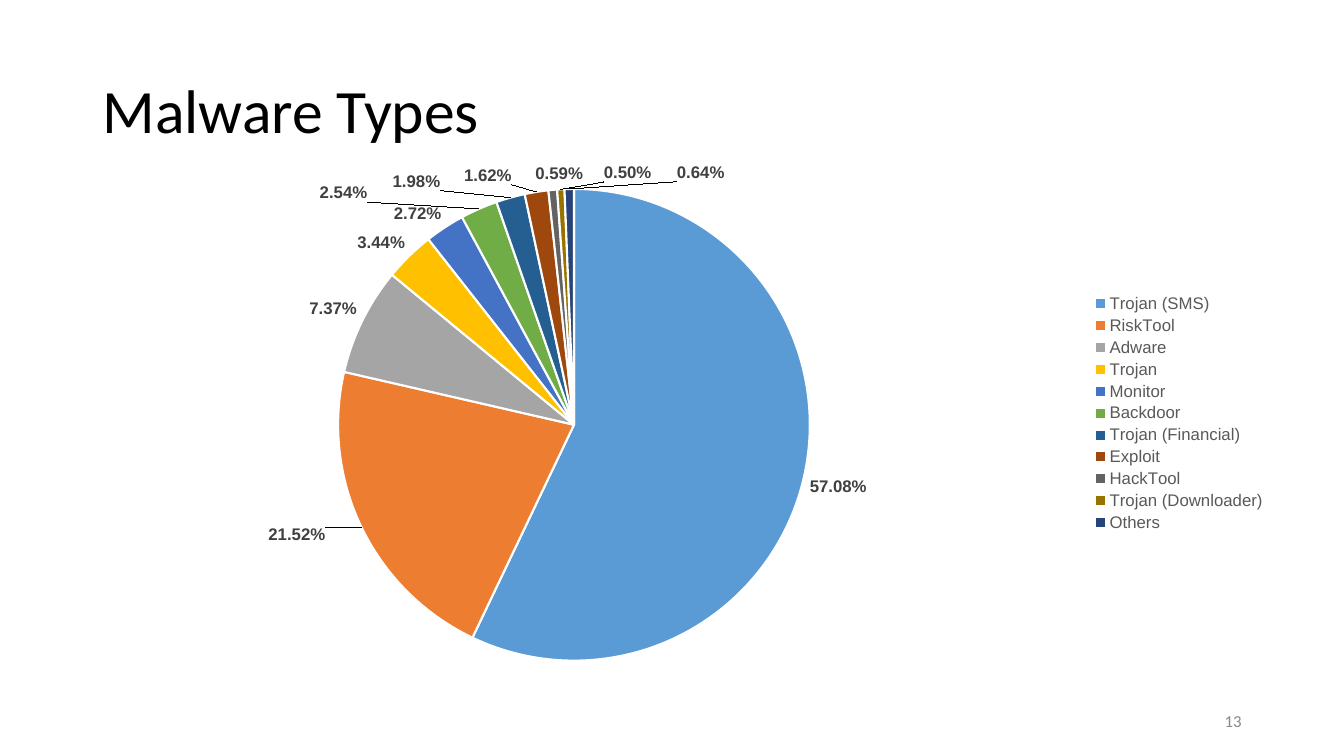
from copy import deepcopy
from dataclasses import dataclass

from lxml.etree import SubElement
from pptx import Presentation
from pptx.chart.data import CategoryChartData
from pptx.dml.color import RGBColor
from pptx.enum.chart import XL_CHART_TYPE as ChartType
from pptx.enum.chart import XL_LABEL_POSITION as LabelPos
from pptx.enum.chart import XL_LEGEND_POSITION as LegendPos
from pptx.enum.text import MSO_ANCHOR as Anchor
from pptx.enum.text import PP_ALIGN as Align
from pptx.oxml.ns import qn
from pptx.util import Pt

# Content: type, share in percent, slice colour, label shift in points
TITLE = "Malware Types"
PAGE = "13"
MALWARE = [
    ("Trojan (SMS)", 57.08, "5B9BD5", None),
    ("RiskTool", 21.52, "ED7D31", (-22, -3)),
    ("Adware", 7.37, "A5A5A5", None),
    ("Trojan", 3.44, "FFC000", None),
    ("Monitor", 2.72, "4472C4", None),
    ("Backdoor", 2.54, "70AD47", (-78, -1)),
    ("Trojan (Financial)", 1.98, "255E91", (-49, -1)),
    ("Exploit", 1.62, "9E480E", (-17, -1)),
    ("HackTool", 0.59, "636363", (22, -1)),
    ("Trojan (Downloader)", 0.50, "997300", (48, -1)),
    ("Others", 0.64, "264478", (94, -1)),
]


@dataclass(frozen=True)
class Theme:
    heading_font: str = "Calibri"
    chart_font: str = "Arial"
    ink: str = "000000"
    label: str = "404040"
    legend: str = "595959"
    page: str = "888888"
    edge: str = "FFFFFF"
    title_size: int = 44
    chart_size: int = 10
    small_size: int = 12


THEME = Theme()

# Layout in points: left, top, width, height
SLIDE_SIZE = (960, 540)
TITLE_BOX = (66, 28.75, 828, 104.4)
PAGE_BOX = (678, 500.5, 216, 28.75)
CHART_BOX = (48, 108, 864, 374.4)
PIE_BOX = (241.5, 135, 337, 337)


def style(font, name, size, color, bold=False):
    font.name, font.size, font.bold = name, Pt(size), bold
    font.color.rgb = RGBColor.from_string(color)


def write(shape, text, *, size, color, align=Align.LEFT, spacing=1.0):
    frame = shape.text_frame
    frame.word_wrap = True
    frame.vertical_anchor = Anchor.MIDDLE
    frame.text = text
    line = frame.paragraphs[0]
    line.alignment, line.line_spacing = align, spacing
    style(line.runs[0].font, THEME.heading_font, size, color)


def add_layout(parent, **settings):
    layout = SubElement(parent, qn("c:layout"))
    manual = SubElement(layout, qn("c:manualLayout"))
    for tag, value in settings.items():
        setting = value if isinstance(value, str) else f"{value:.4f}"
        SubElement(manual, qn(f"c:{tag}")).set("val", setting)
    return layout


def shift_label(labels, index, dx, dy):
    """Give one slice its own label, formatted like the rest but moved."""
    label = labels.makeelement(qn("c:dLbl"))
    SubElement(label, qn("c:idx")).set("val", str(index))
    add_layout(label, x=dx / CHART_BOX[2], y=dy / CHART_BOX[3])
    for part in labels:
        if part.tag not in (qn("c:dLbl"), qn("c:showLeaderLines")):
            label.append(deepcopy(part))
    return label


deck = Presentation()
deck.slide_width, deck.slide_height = map(Pt, SLIDE_SIZE)
slide = deck.slides.add_slide(deck.slide_layouts[5])

# Title and page number
title = slide.shapes.title
title.left, title.top, title.width, title.height = map(Pt, TITLE_BOX)
write(title, TITLE, size=THEME.title_size, color=THEME.ink, spacing=0.9)
page = slide.shapes.add_textbox(*map(Pt, PAGE_BOX))
write(page, PAGE, size=THEME.small_size, color=THEME.page, align=Align.RIGHT)

# Pie chart
shares = CategoryChartData()
shares.categories = [name for name, *_ in MALWARE]
shares.add_series("Series 1", [share for _, share, *_ in MALWARE])
chart = slide.shapes.add_chart(ChartType.PIE, *map(Pt, CHART_BOX), shares).chart
chart.has_title = False
style(chart.font, THEME.chart_font, THEME.chart_size, THEME.ink)
chart.has_legend = True
chart.legend.position = LegendPos.RIGHT
chart.legend.include_in_layout = False
style(chart.legend.font, THEME.chart_font, THEME.small_size, THEME.legend)

# Slices
pie = chart.plots[0]
pie.vary_by_categories = True
series = pie.series[0]
for index, (_, _, color, _) in enumerate(MALWARE):
    wedge = series.points[index].format
    wedge.fill.solid()
    wedge.fill.fore_color.rgb = RGBColor.from_string(color)
    wedge.line.color.rgb = RGBColor.from_string(THEME.edge)
    wedge.line.width = Pt(1.5)

# Percent labels, the crowded ones spread out with leader lines
percents = series.data_labels
percents.show_percentage, percents.show_value = True, False
percents.number_format, percents.number_format_is_linked = "0.00%", False
percents.position = LabelPos.OUTSIDE_END
style(percents.font, THEME.chart_font, THEME.small_size, THEME.label, bold=True)
labels = series._element.find(qn("c:dLbls"))
leader = labels.find(qn("c:showLeaderLines"))
if leader is None:
    leader = SubElement(labels, qn("c:showLeaderLines"))
leader.set("val", "1")
moved = [shift_label(labels, index, *shift)
         for index, (*_, shift) in enumerate(MALWARE) if shift]
for place, label in enumerate(moved):
    labels.insert(place, label)

# Fixed place of the pie inside the chart
plot_area = chart._chartSpace.chart.plotArea
old_layout = plot_area.find(qn("c:layout"))
if old_layout is not None:
    plot_area.remove(old_layout)
left, top, width, height = PIE_BOX
plot_area.insert(0, add_layout(
    plot_area, layoutTarget="inner", xMode="edge", yMode="edge",
    x=(left - CHART_BOX[0]) / CHART_BOX[2], y=(top - CHART_BOX[1]) / CHART_BOX[3],
    w=width / CHART_BOX[2], h=height / CHART_BOX[3]))

deck.save("out.pptx")
